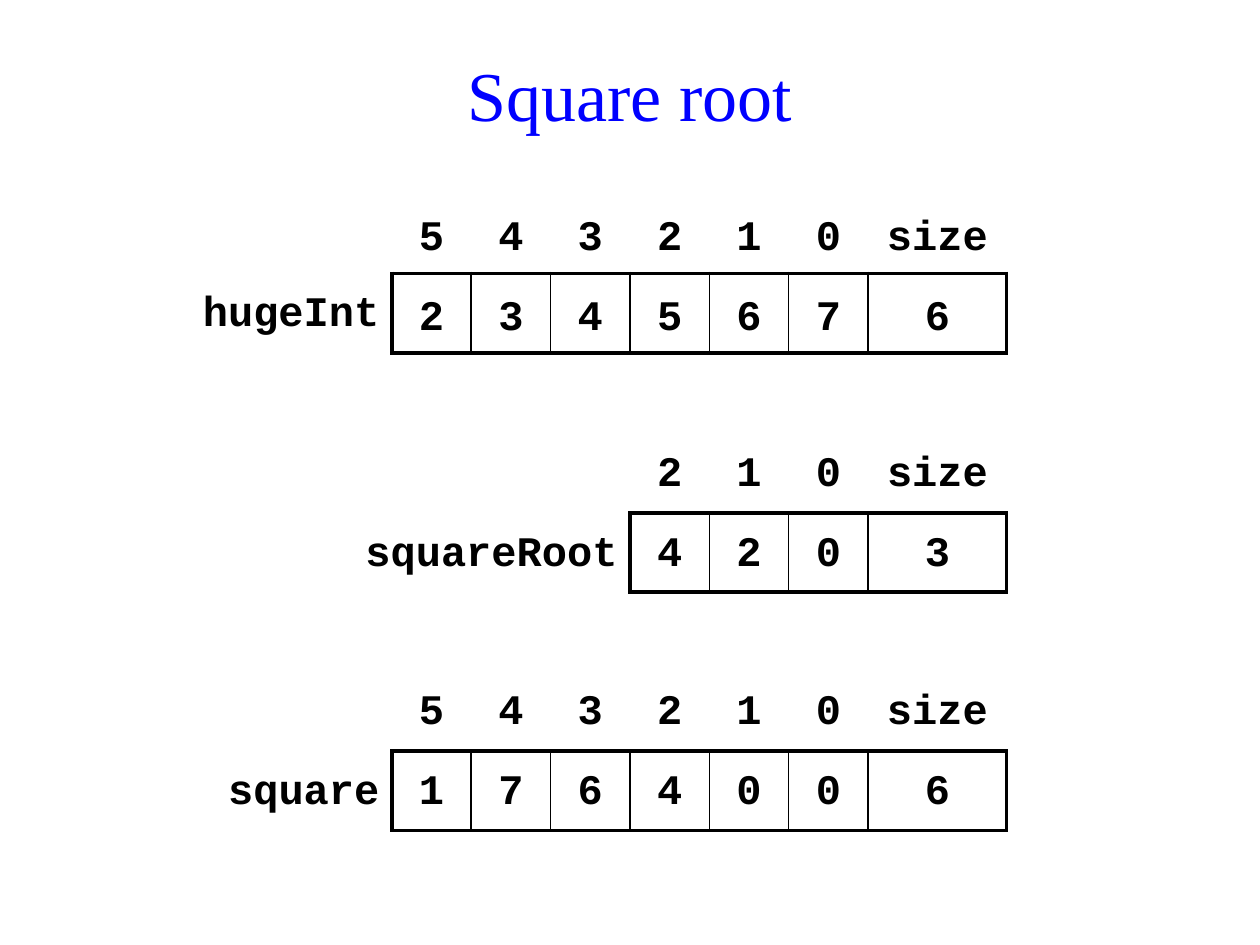
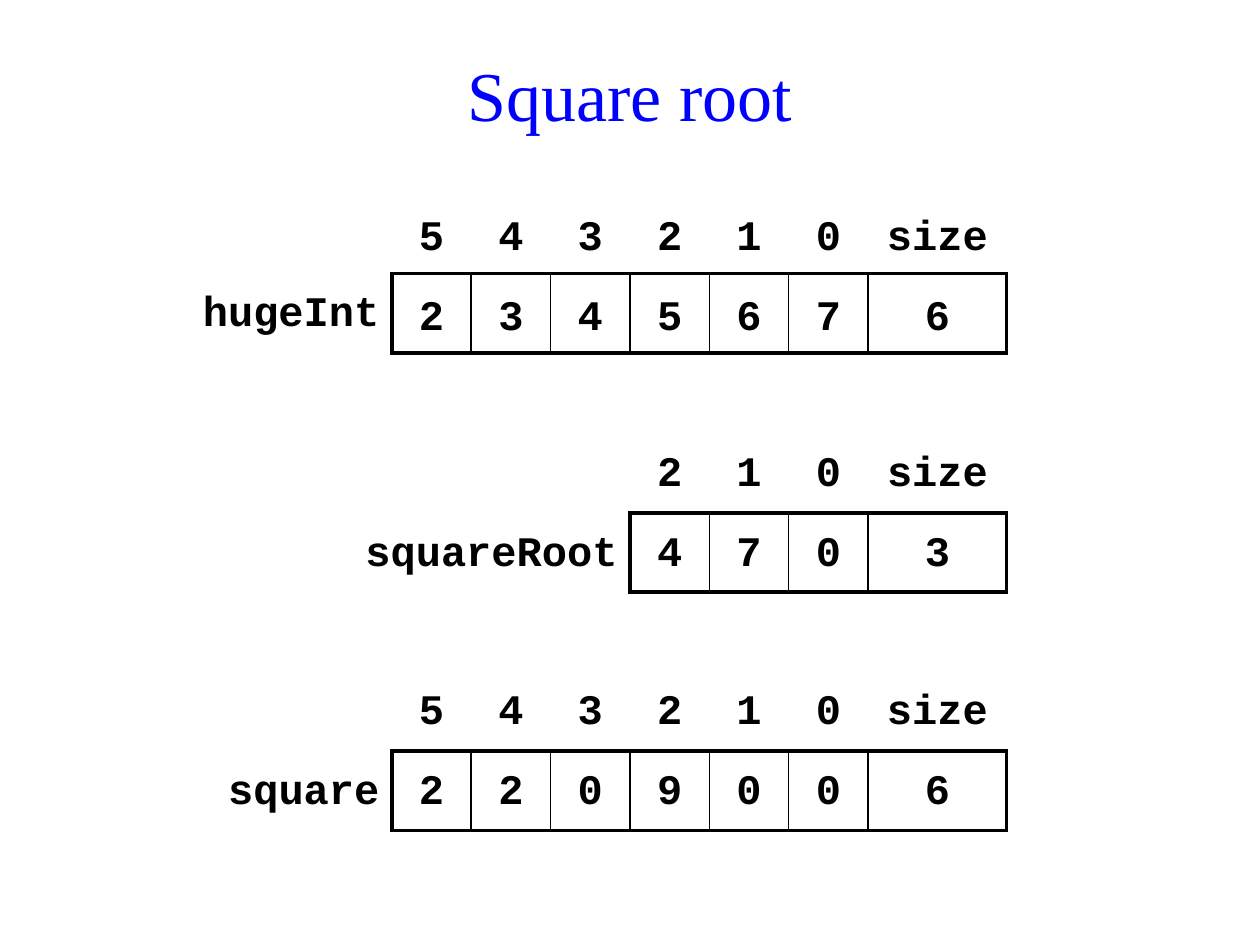
from pptx import Presentation
from pptx.dml.color import RGBColor
from pptx.enum.text import MSO_ANCHOR, PP_ALIGN
from pptx.oxml.ns import qn
from pptx.util import Inches, Pt
from lxml import etree

BLUE = RGBColor(0x00, 0x00, 0xFF)
BLACK = RGBColor(0x00, 0x00, 0x00)
WHITE = RGBColor(0xFF, 0xFF, 0xFF)
NO_GRID_STYLE = "{2D5ABB26-0587-4C30-8999-92F81FD0307C}"
DIGIT, SIZE, RIGHT_EDGE = 0.63, 1.1, 7.99
THICK, THIN = 2.25, 1


class Deck:
    """Holds the shared style and the slide being drawn."""

    def __init__(self):
        self.presentation = Presentation()
        self.presentation.slide_width = Inches(10)
        self.presentation.slide_height = Inches(7.5)
        self.slide = None

    def new_slide(self, heading):
        self.slide = self.presentation.slides.add_slide(self.presentation.slide_layouts[6])
        background = self.slide.background.fill
        background.solid()
        background.fore_color.rgb = WHITE
        title = self.slide.shapes.add_textbox(Inches(0.59), Inches(0.28), Inches(8.82), Inches(0.93))
        title.text_frame.word_wrap = True
        title.text_frame.vertical_anchor = MSO_ANCHOR.MIDDLE
        self.add_text(title.text_frame, heading, PP_ALIGN.CENTER, "Times New Roman", 40, BLUE)

    def add_text(self, frame, text, align, font, size, color, bold=False):
        paragraph = frame.paragraphs[0]
        paragraph.alignment = align
        run = paragraph.add_run()
        run.text = text
        run.font.name = font
        run.font.size = Pt(size)
        run.font.bold = bold
        run.font.color.rgb = color
        return paragraph

    def code(self, cell, text, align, anchor):
        cell.vertical_anchor = anchor
        paragraph = self.add_text(cell.text_frame, text, align, "Courier New", 24, BLACK, True)
        paragraph.line_spacing = 1.25

    def borders(self, cell, **widths):
        properties = cell._tc.get_or_add_tcPr()
        for side in "LRTB":
            if side in widths:
                line = etree.SubElement(properties, qn(f"a:ln{side}"), w=str(Pt(widths[side])))
                fill = etree.SubElement(line, qn("a:solidFill"))
                etree.SubElement(fill, qn("a:srgbClr"), val=str(BLACK))
        cell.fill.background()

    def number(self, name, digits, top, label_width, anchor=MSO_ANCHOR.TOP):
        count = len(digits)
        widths = [label_width] + [DIGIT] * count + [SIZE]
        total = sum(widths)
        table = self.slide.shapes.add_table(
            2, len(widths), Inches(RIGHT_EDGE - total), Inches(top), Inches(total), Inches(2 * DIGIT)).table
        table.first_row = table.horz_banding = False
        table._tbl.tblPr.find(qn("a:tableStyleId")).text = NO_GRID_STYLE
        for column, width in zip(table.columns, widths):
            column.width = Inches(width)
        for row in table.rows:
            row.height = Inches(DIGIT)

        label = table.cell(1, 0)
        label.margin_left = 0
        self.code(label, name, PP_ALIGN.RIGHT, MSO_ANCHOR.TOP)
        self.borders(table.cell(0, 0))
        self.borders(label, R=THICK)

        places = [str(place) for place in reversed(range(count))] + ["size"]
        for column, (place, value) in enumerate(zip(places, [*digits, str(count)]), 1):
            index_cell, value_cell = table.cell(0, column), table.cell(1, column)
            self.code(index_cell, place, PP_ALIGN.CENTER, anchor)
            self.code(value_cell, value, PP_ALIGN.CENTER, anchor)
            self.borders(index_cell, B=THICK)
            self.borders(value_cell, T=THICK, B=THICK,
                         L=THICK if column == 1 else THIN,
                         R=THICK if place == "size" else THIN)


deck = Deck()
for root, square in (("420", "176400"), ("470", "220900")):
    deck.new_slide("Square root")
    deck.number("hugeInt", "234567", 1.54, 1.73, MSO_ANCHOR.MIDDLE)
    deck.number("squareRoot", root, 3.44, 2.2)
    deck.number("square", square, 5.33, 1.42)
deck.presentation.save("out.pptx")
